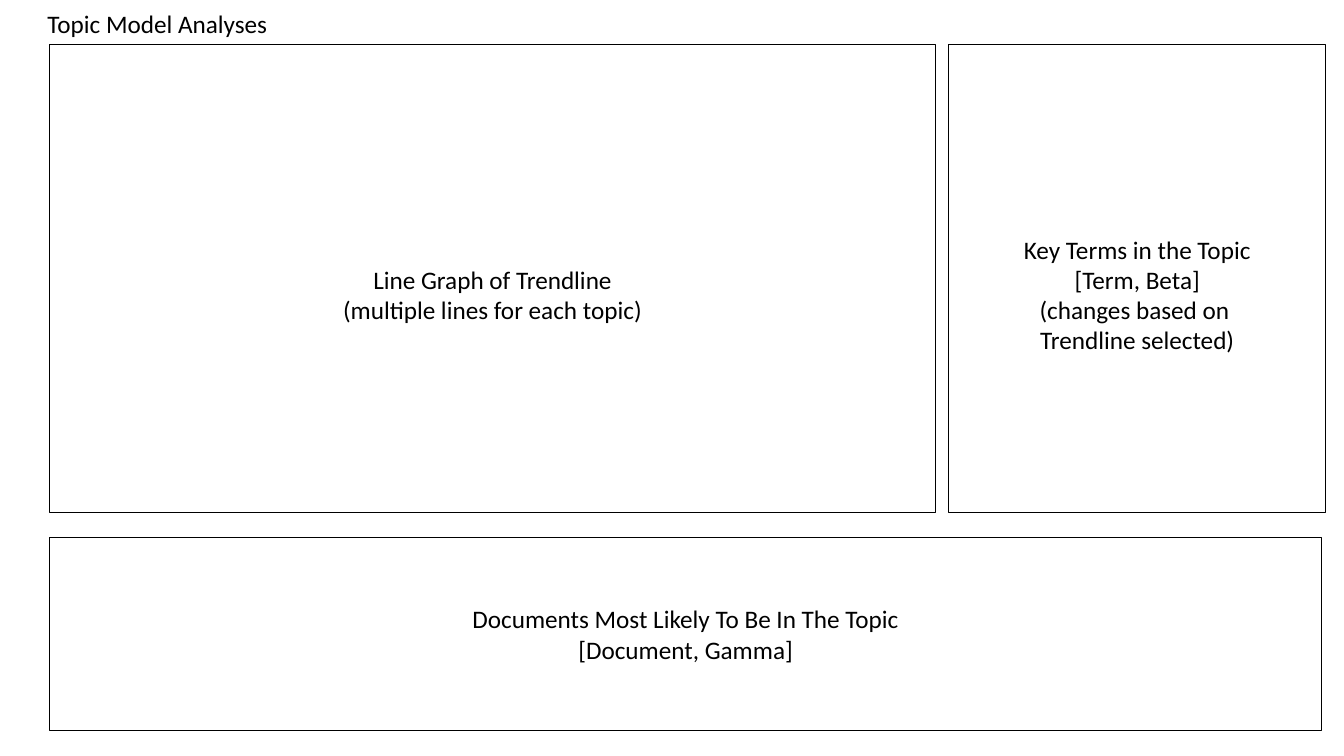
"""Build a wireframe slide for the topic model analyses page."""
from pptx import Presentation
from pptx.dml.color import RGBColor
from pptx.enum.shapes import MSO_SHAPE as Kind
from pptx.enum.text import MSO_ANCHOR as Anchor, MSO_AUTO_SIZE as Fit, PP_ALIGN as Align
from pptx.util import Inches, Pt

BLACK = RGBColor(0, 0, 0)
LEFT, TOP, TALL = 0.49, 0.44, 4.64


def write(frame, lines, font="Calibri", size=18, color=BLACK,
          align=Align.CENTER, top=0.05, wrap=True):
    frame.word_wrap = wrap
    frame.auto_size = Fit.NONE
    frame.vertical_anchor = Anchor.TOP
    frame.margin_left = frame.margin_right = Inches(0.1)
    frame.margin_top, frame.margin_bottom = Inches(top), Inches(0.05)
    for i, line in enumerate(lines):
        para = frame.add_paragraph() if i else frame.paragraphs[0]
        para.alignment = align
        run = para.add_run()
        run.text = line
        run.font.name, run.font.size = font, Pt(size)
        run.font.color.rgb = color


class Page:
    def __init__(self, deck, color=BLACK, width=0.75):
        self.slide = deck.slides.add_slide(deck.slide_layouts[5])
        self.color, self.width = color, width

    def title(self, text, *area):
        head = self.slide.shapes.title
        head.left, head.top, head.width, head.height = map(Inches, area)
        write(head.text_frame, [text], align=Align.LEFT, wrap=False)

    def panel(self, lines, *area, top):
        box = self.slide.shapes.add_shape(Kind.RECTANGLE, *map(Inches, area))
        box.shadow.inherit = False
        box.fill.background()
        box.line.color.rgb = self.color
        box.line.width = Pt(self.width)
        write(box.text_frame, lines, color=self.color, top=top)


deck = Presentation()
deck.slide_width, deck.slide_height = Inches(13.33), Inches(7.5)
page = Page(deck)
page.title("Topic Model Analyses", 0.37, 0.03, 2.41, 0.4)
page.panel(["Line Graph of Trendline", "(multiple lines for each topic)"],
           LEFT, TOP, 8.79, TALL, top=2.18)
page.panel(["Documents Most Likely To Be In The Topic", "[Document, Gamma]"],
           LEFT, 5.33, 12.62, 1.92, top=0.66)
page.panel(["Key Terms in the Topic", "[Term, Beta]", "(changes based on ",
            "Trendline selected)"], 9.41, TOP, 3.74, TALL, top=1.88)
deck.save("out.pptx")
